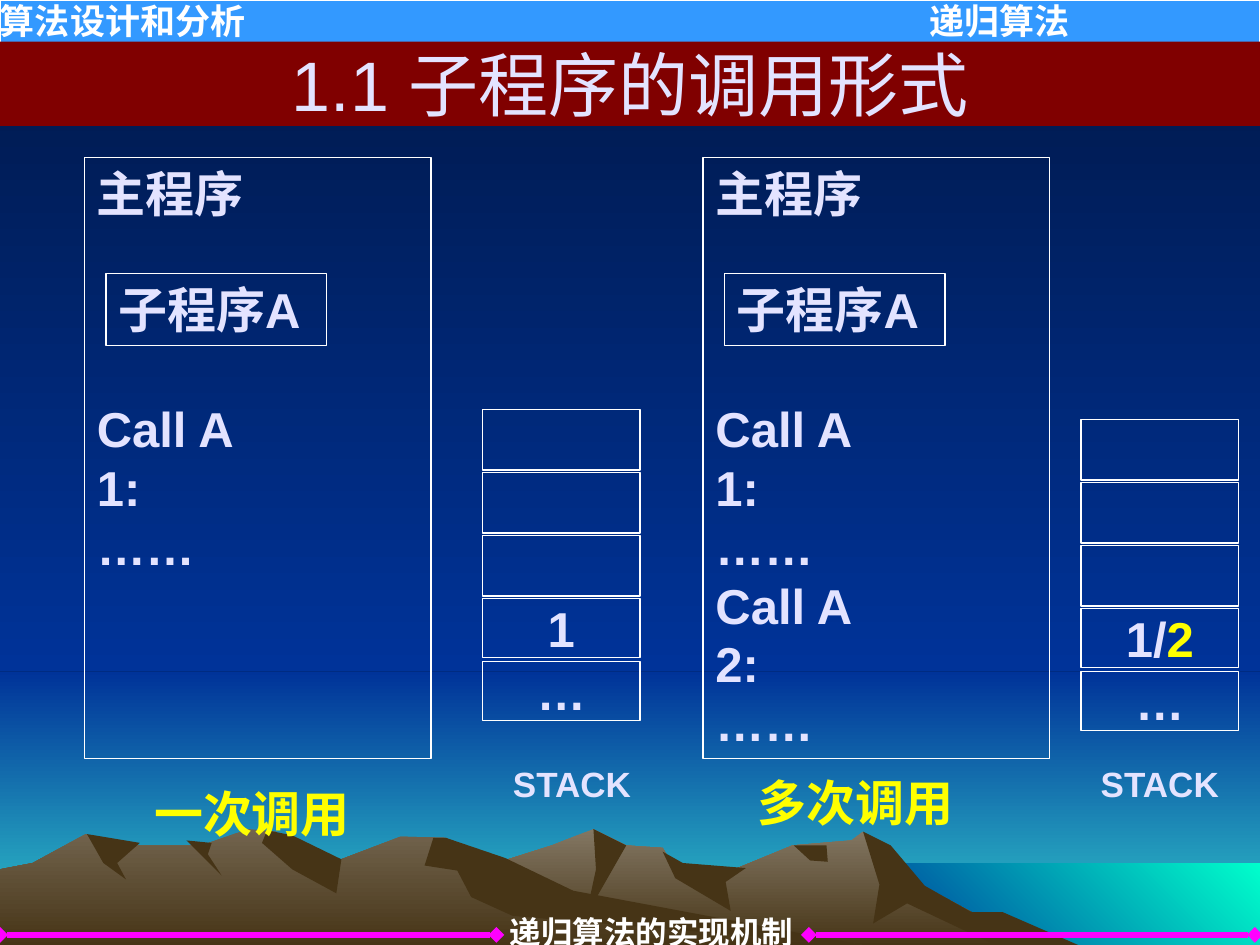
"""Build a slide that compares single and repeated subroutine calls with their stacks."""
from lxml.etree import SubElement
from pptx import Presentation
from pptx.dml.color import RGBColor
from pptx.enum.shapes import MSO_CONNECTOR, MSO_SHAPE
from pptx.enum.text import MSO_ANCHOR, PP_ALIGN
from pptx.oxml.ns import qn
from pptx.util import Inches, Pt

WHITE, LAVENDER, YELLOW, ROCK = "FFFFFF", "E3E3FF", "FFFF00", "463416"
NIGHT, BLUE = "001746", "003399"


def paint(fill, *colors, angle=270):
    if len(colors) == 1:
        fill.solid()
        fill.fore_color.rgb = RGBColor.from_string(colors[0])
    elif colors:
        fill.gradient()
        fill.gradient_angle = angle
        for stop, color in zip(fill.gradient_stops, colors):
            stop.color.rgb = RGBColor.from_string(color)
    else:
        fill.background()


def add_text(text, left, top, width, height, fill=(), line=(), size=28, color=LAVENDER,
             accent="", bold=True, align=PP_ALIGN.LEFT, anchor=MSO_ANCHOR.TOP, padded=True,
             spacing=1.2):
    bounds = [Inches(value) for value in (left, top, width, height)]
    if fill or line:
        shape = slide.shapes.add_shape(MSO_SHAPE.RECTANGLE, *bounds)
    else:
        shape = slide.shapes.add_textbox(*bounds)
    shape.shadow.inherit = False
    paint(shape.fill, *fill)
    paint(shape.line.fill, *line)
    if line:
        shape.line.width = Pt(0.75)
    frame = shape.text_frame
    frame.word_wrap = True
    frame.vertical_anchor = anchor
    frame.margin_left = frame.margin_right = Inches(0.1 if padded else 0)
    frame.margin_top = frame.margin_bottom = Inches(0.05 if padded else 0)
    if not text:
        return shape
    for index, content in enumerate(text.split("\n")):
        paragraph = frame.add_paragraph() if index else frame.paragraphs[0]
        paragraph.alignment = align
        if spacing:
            paragraph.line_spacing = Pt(size * spacing)
        for part, part_color in ((content, color), (accent, YELLOW)):
            if part:
                run = paragraph.add_run()
                run.text = part
                run.font.name = "Arial"
                run.font.size = Pt(size)
                run.font.bold = bold
                paint(run.font.fill, part_color)
    return shape


presentation = Presentation()
presentation.slide_width = Inches(10)
presentation.slide_height = Inches(7.5)
slide = presentation.slides.add_slide(presentation.slide_layouts[6])
paint(slide.background.fill, NIGHT, BLUE)

add_text("", 0, 5.33, 10, 2.17, fill=(BLUE, "33CCCC"))
add_text("", 0, 0, 10, 5.33, fill=(NIGHT, BLUE))
sea = add_text("", 6.83, 6.85, 3.17, 0.65, fill=(BLUE,))
paint(sea.fill, "00FFCC", BLUE, angle=225)

mountains = [
    (("837763", ROCK), [
        (8.21, 7.51), (7.23, 6.98), (6.85, 6.6), (6.76, 6.67), (6.29, 6.71), (5.66, 6.97),
        (5.36, 6.9), (5.26, 6.73), (4.97, 6.71), (4.71, 6.58), (4.38, 6.71), (3.94, 6.85),
        (3.27, 7.09), (2.58, 7.51)]),
    ((ROCK,), [
        (8.58, 7.51), (7.96, 7.24), (7.71, 7.24), (7.34, 7.03), (7.07, 6.71), (6.85, 6.6),
        (6.98, 7.02), (6.93, 7.33), (7.2, 7.17), (7.92, 7.51)]),
    ((ROCK,), [(4.71, 6.58), (4.73, 6.9), (4.65, 7.27), (4.97, 6.71)]),
    ((ROCK,), [(5.26, 6.76), (5.36, 6.97), (5.8, 7.23), (5.76, 7), (5.92, 6.89), (5.42, 6.85)]),
    ((ROCK,), [(6.3, 6.71), (6.43, 6.83), (6.57, 6.84), (6.56, 6.71)]),
    (("72644E", ROCK), [
        (6.9, 7.51), (4.32, 7.12), (3.54, 6.65), (3.18, 6.64), (2.71, 6.82), (2.36, 6.81),
        (2.19, 6.6), (1.97, 6.58), (1.6, 6.71), (0.94, 6.71), (0.68, 6.62), (0.26, 6.85),
        (0, 6.9), (0, 7.51)]),
    ((ROCK,), [(2.12, 6.59), (2.08, 6.69), (2.32, 6.9), (2.67, 7.09), (2.71, 6.82), (2.32, 6.63)]),
    ((ROCK,), [
        (3.44, 6.65), (3.37, 6.87), (3.63, 6.91), (3.74, 7.12), (4.07, 7.27), (6.9, 7.51),
        (4.55, 7.07), (4.01, 6.81), (3.54, 6.65)]),
    ((ROCK,), [(1.48, 6.67), (1.76, 6.95), (1.65, 6.78), (1.68, 6.69)]),
    ((ROCK,), [(0.69, 6.62), (0.82, 6.85), (1, 6.98), (0.93, 6.85), (1.11, 6.69)]),
]
for colors, points in mountains:
    corners = [(Inches(across), Inches(down)) for across, down in points]
    builder = slide.shapes.build_freeform(*corners[0])
    builder.add_line_segments(corners[1:], close=True)
    mountain = builder.convert_to_shape()
    mountain.shadow.inherit = False
    paint(mountain.fill, *colors)
    paint(mountain.line.fill)

header = add_text("算法设计和分析\t递归算法", 0, 0, 10, 0.67, fill=("3399FF",), line=(WHITE,),
                  size=20, color=WHITE, padded=False)
properties = header.text_frame.paragraphs[0]._p.get_or_add_pPr()
tab_stops = SubElement(properties, qn("a:tabLst"))
SubElement(tab_stops, qn("a:tab"), pos=str(Inches(7.38)), algn="l")

add_text("1.1 子程序的调用形式", 0, 0.33, 10, 0.67, fill=("800000",), size=40, bold=False,
         align=PP_ALIGN.CENTER, anchor=MSO_ANCHOR.MIDDLE, padded=False, spacing=None)

add_text("递归算法的实现机制", 3.92, 7.25, 2.5, 0.3, size=18, color=WHITE,
         align=PP_ALIGN.CENTER, padded=False)
for start, end in ((0, 3.94), (6.42, 9.96)):
    connector = slide.shapes.add_connector(
        MSO_CONNECTOR.STRAIGHT, Inches(start), Inches(7.42), Inches(end), Inches(7.42))
    paint(connector.line.fill, "FF00FF")
    connector.line.width = Pt(3)
    outline = connector.line._get_or_add_ln()
    for tag in ("a:headEnd", "a:tailEnd"):
        SubElement(outline, qn(tag), type="diamond")
    SubElement(connector._element.spPr, qn("a:effectLst"))

first_call = "主程序\nCall A\n1:\n……"
programs = [
    (0.67, first_call, "一次调用", (0.75, 6.17, 2.5, 0.57)),
    (5.58, first_call + "\nCall A\n2:\n……", "多次调用", (5.25, 6.08, 3.08, 0.57)),
]
for left, code, caption, caption_bounds in programs:
    program = add_text(code, left, 1.25, 2.75, 4.77, line=(WHITE,))
    program.text_frame.paragraphs[1].space_before = Pt(3 * 28 * 1.2)
    add_text("子程序A", left + 0.17, 2.17, 1.75, 0.57, line=(WHITE,))
    add_text(caption, *caption_bounds, color=YELLOW, align=PP_ALIGN.CENTER)

stacks = [(3.83, 3.25, "1", "", 1.42), (8.58, 3.33, "1/", "2", 1.25)]
for left, top, address, second_address, label_width in stacks:
    for row, content in enumerate(("", "", "", address, "…")):
        add_text(content, left, top + 0.5 * row, 1.25, 0.47 if content else 0.48,
                 line=(WHITE,), accent=second_address if content == address else "",
                 align=PP_ALIGN.CENTER, padded=False)
    add_text("STACK", left, 6, label_width, 0.44, size=20, align=PP_ALIGN.CENTER)

presentation.save("out.pptx")
